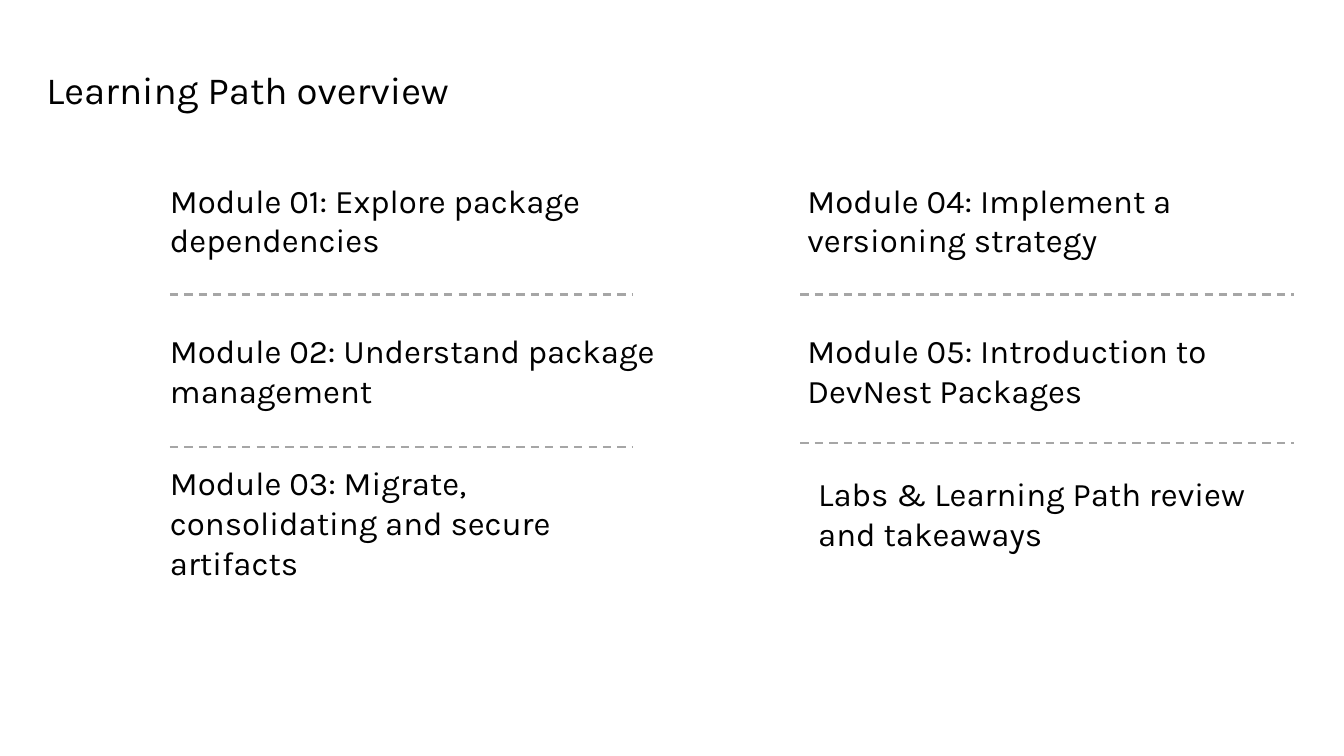
from lxml import etree
from pptx import Presentation
from pptx.dml.color import RGBColor
from pptx.enum.dml import MSO_LINE
from pptx.enum.shapes import MSO_CONNECTOR
from pptx.enum.text import MSO_ANCHOR, MSO_AUTO_SIZE, PP_ALIGN
from pptx.oxml.ns import qn
from pptx.util import Inches, Pt

BLACK = RGBColor(0, 0, 0)
GREY = RGBColor(0xA6, 0xA6, 0xA6)
FONT = "Karla"
DASH = MSO_LINE.DASH
STRAIGHT = MSO_CONNECTOR.STRAIGHT
TOP = MSO_ANCHOR.TOP
MIDDLE = MSO_ANCHOR.MIDDLE
GROW = MSO_AUTO_SIZE.SHAPE_TO_FIT_TEXT
LEFT = PP_ALIGN.LEFT


def write(shape, text, size, anchor):
    frame = shape.text_frame
    frame.word_wrap = True
    frame.auto_size = GROW
    frame.vertical_anchor = anchor
    frame.margin_left = frame.margin_right = 0
    frame.margin_top = frame.margin_bottom = 0
    para = frame.paragraphs[0]
    para.alignment = LEFT
    run = para.add_run()
    run.text = text
    run.font.name = FONT
    run.font.size = Pt(size)
    run.font.color.rgb = BLACK
    return para


deck = Presentation()
deck.slide_width = Inches(13.6)
deck.slide_height = Inches(7.65)
slide = deck.slides.add_slide(deck.slide_layouts[5])

title = slide.shapes.title
title.left, title.top = Inches(0.47), Inches(0.69)
title.width, title.height = Inches(12.65), Inches(0.45)
para = write(title, "Learning Path overview", 28, TOP)
para.line_spacing = Pt(32)

modules = [
    (1.72, 1.82, "Module 01: Explore package dependencies"),
    (1.72, 3.34, "Module 02: Understand package management"),
    (1.72, 4.88, "Module 03: Migrate, consolidating and secure artifacts"),
    (8.17, 1.82, "Module 04: Implement a versioning strategy"),
    (8.17, 3.34, "Module 05: Introduction to DevNest Packages"),
    (8.28, 4.79, "Labs & Learning Path review and takeaways"),
]
for x, y, text in modules:
    box = slide.shapes.add_textbox(Inches(x), Inches(y), Inches(4.94), Inches(0.81))
    para = write(box, text, 24, MIDDLE)
    para.space_after = Pt(6)

rules = [(1.72, 6.41, 2.98), (1.72, 6.41, 4.52), (8.1, 13.09, 2.98), (8.1, 13.09, 4.48)]
for start, end, y in rules:
    rule = slide.shapes.add_connector(STRAIGHT, Inches(start), Inches(y), Inches(end), Inches(y))
    rule.line.color.rgb = GREY
    rule.line.width = Pt(1.5)
    rule.line.dash_style = DASH
    etree.SubElement(rule._element.spPr, qn("a:effectLst"))

deck.save("out.pptx")
